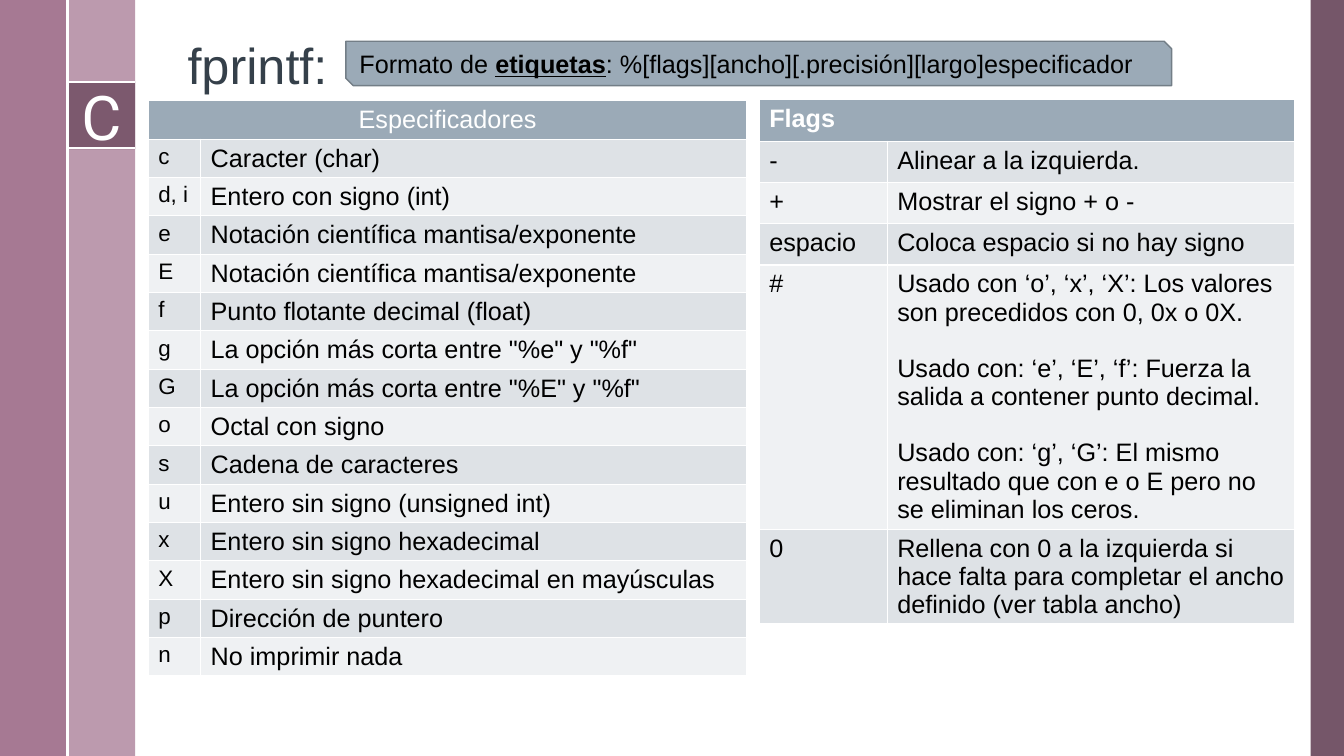
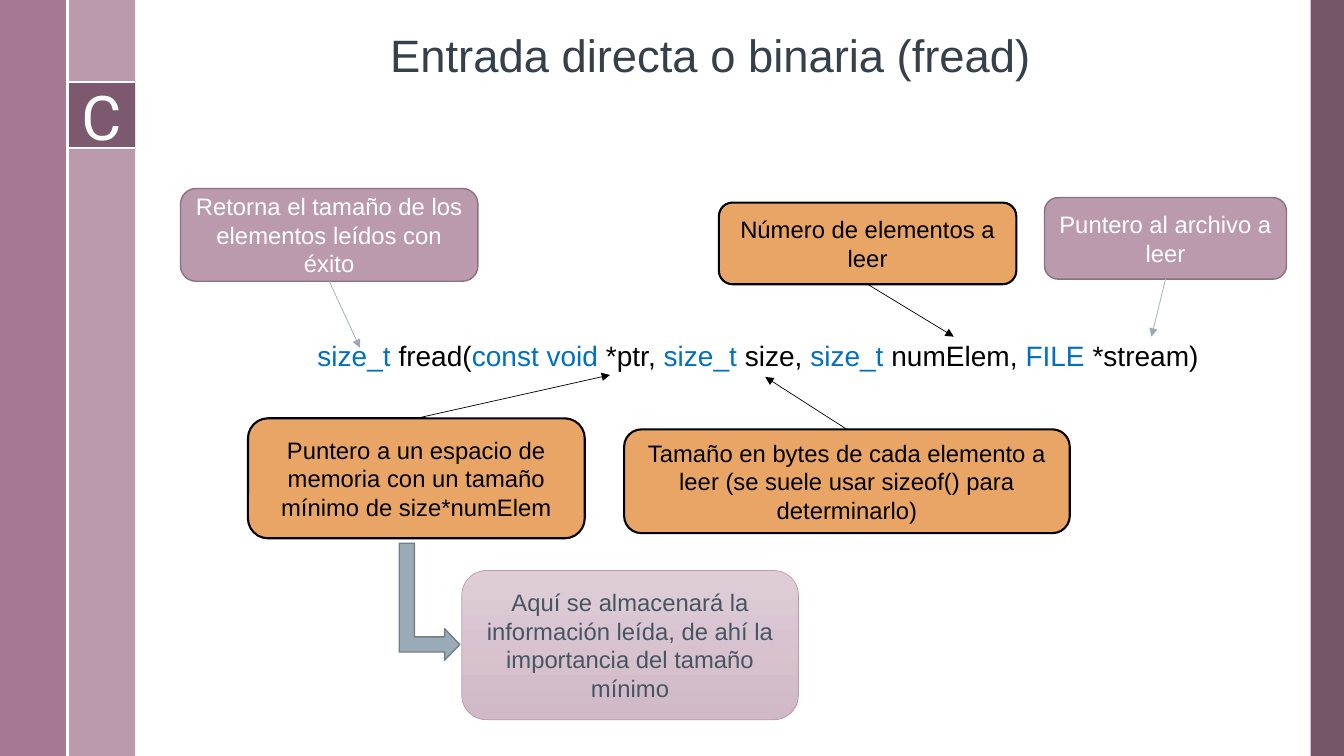
import dataclasses
from typing import Optional

import pptx
import pptx.dml.color
import pptx.enum.dml
import pptx.enum.shapes
import pptx.enum.text
import pptx.oxml
import pptx.oxml.ns
import pptx.oxml.xmlchemy
import pptx.util

Inches, Pt = pptx.util.Inches, pptx.util.Pt
RGBColor = pptx.dml.color.RGBColor
SHAPE = pptx.enum.shapes.MSO_SHAPE
ALIGN = pptx.enum.text.PP_ALIGN
ANCHOR = pptx.enum.text.MSO_ANCHOR

# Palette
WHITE = RGBColor(0xFF, 0xFF, 0xFF)
BLACK = RGBColor(0x00, 0x00, 0x00)
PLUM = RGBColor(0x67, 0x44, 0x59)
MAUVE = RGBColor(0x9A, 0x67, 0x85)
PINK = RGBColor(0xBC, 0x9A, 0xAE)
PINK_EDGE = RGBColor(0x8B, 0x72, 0x81)
PINK_TOP = RGBColor(0xDE, 0xCD, 0xD7)
PINK_BOTTOM = RGBColor(0xD1, 0xB9, 0xC7)
ORANGE = RGBColor(0xE8, 0xA5, 0x65)
STEEL = RGBColor(0x9B, 0xAA, 0xB7)
STEEL_EDGE = RGBColor(0x73, 0x7E, 0x87)
ROW_DARK = RGBColor(0xDE, 0xE2, 0xE6)
ROW_LIGHT = RGBColor(0xEF, 0xF1, 0xF3)
TITLE_INK = RGBColor(0x35, 0x40, 0x4A)
NOTE_INK = RGBColor(0x46, 0x55, 0x62)
KEYWORD_BLUE = RGBColor(0x00, 0x70, 0xC0)

SLIDE_WIDTH, SLIDE_HEIGHT = 13.33, 7.5
BAND = 0.67
BADGE_TOP, BADGE_BOTTOM = 0.81, 1.47


@dataclasses.dataclass(frozen=True)
class Box:
    left: float
    top: float
    width: float
    height: float

    def lengths(self) -> tuple:
        return tuple(Inches(v) for v in dataclasses.astuple(self))


@dataclasses.dataclass(frozen=True)
class Look:
    fill: RGBColor
    ink: RGBColor
    edge: RGBColor
    edge_width: float
    arrow: RGBColor


@dataclasses.dataclass(frozen=True)
class Callout:
    text: str
    box: Box
    look: Look
    side: int
    target: tuple


PINK_LOOK = Look(PINK, WHITE, PINK_EDGE, 1, STEEL)
ORANGE_LOOK = Look(ORANGE, BLACK, BLACK, 1.5, BLACK)

SPECIFIERS = [
    ("c", "Caracter (char)"),
    ("d, i", "Entero con signo (int)"),
    ("e", "Notación científica mantisa/exponente"),
    ("E", "Notación científica mantisa/exponente"),
    ("f", "Punto flotante decimal (float)"),
    ("g", "La opción más corta entre \"%e\" y \"%f\""),
    ("G", "La opción más corta entre \"%E\" y \"%f\""),
    ("o", "Octal con signo"),
    ("s", "Cadena de caracteres"),
    ("u", "Entero sin signo (unsigned int)"),
    ("x", "Entero sin signo hexadecimal"),
    ("X", "Entero sin signo hexadecimal en mayúsculas"),
    ("p", "Dirección de puntero"),
    ("n", "No imprimir nada"),
]

FLAGS = [
    ("-", "Alinear a la izquierda."),
    ("+", "Mostrar el signo + o -"),
    ("espacio", "Coloca espacio si no hay signo"),
    ("#", "Usado con ‘o’, ‘x’, ‘X’: Los valores son precedidos con 0, 0x o 0X.\n"
          "Usado con: ‘e’, ‘E’, ‘f’: Fuerza la salida a contener punto decimal.\n"
          "Usado con: ‘g’, ‘G’: El mismo resultado que con e o E pero no se "
          "eliminan los ceros."),
    ("0", "Rellena con 0 a la izquierda si hace falta para completar el ancho "
          "definido (ver tabla ancho)"),
]

# Type names alternate with the rest of the signature
SIGNATURE = ["size_t ", "fread(", "const void ", "*ptr, ", "size_t ", "size, ",
             "size_t ", "numElem, ", "FILE ", "*stream)"]

CALLOUTS = [
    Callout("Retorna el tamaño de los elementos leídos con éxito",
            Box(1.79, 1.87, 2.95, 0.92), PINK_LOOK, 2, (3.57, 3.45)),
    Callout("Puntero a un espacio de memoria con un tamaño mínimo de size*numElem",
            Box(2.46, 4.15, 3.34, 1.19), ORANGE_LOOK, 0, (6.05, 3.72)),
    Callout("Tamaño en bytes de cada elemento a leer (se suele usar sizeof() para "
            "determinarlo)",
            Box(6.19, 4.26, 4.42, 1.03), ORANGE_LOOK, 0, (7.59, 3.74)),
    Callout("Número de elementos a leer",
            Box(7.13, 2.01, 2.95, 0.81), ORANGE_LOOK, 2, (9.46, 3.34)),
    Callout("Puntero al archivo a leer",
            Box(10.36, 1.96, 2.4, 0.81), PINK_LOOK, 2, (11.42, 3.34)),
]


def write(frame, text: str, *, size: float = 18, color: RGBColor = BLACK,
          font: str = "Arial", bold: bool = False, underline: bool = False,
          align=ALIGN.LEFT, spacing: Optional[float] = None, gap: float = 0) -> None:
    """Append text to the last paragraph; each newline starts a paragraph after a gap."""
    for index, line in enumerate(text.split("\n")):
        paragraph = frame.add_paragraph() if index else frame.paragraphs[-1]
        if index:
            paragraph.space_before = Pt(gap)
        paragraph.alignment = align
        if spacing:
            paragraph.line_spacing = spacing
        run = paragraph.add_run()
        run.text = line
        run.font.size = Pt(size)
        run.font.name = font
        run.font.bold = bold
        run.font.underline = underline
        run.font.color.rgb = color


def add_box(slide, kind, box: Box, fill: RGBColor, *, opacity: int = 100,
            edge: Optional[RGBColor] = None, edge_width: float = 1):
    shape = slide.shapes.add_shape(kind, *box.lengths())
    shape.shadow.inherit = False
    shape.fill.solid()
    shape.fill.fore_color.rgb = fill
    if opacity < 100:
        color = shape.fill._xPr.find(".//" + pptx.oxml.ns.qn("a:srgbClr"))
        color.append(pptx.oxml.parse_xml(
            f'<a:alpha {pptx.oxml.ns.nsdecls("a")} val="{opacity * 1000}"/>'))
    if edge is None:
        shape.line.fill.background()
    else:
        shape.line.color.rgb = edge
        shape.line.width = Pt(edge_width)
    shape.text_frame.word_wrap = True
    shape.text_frame.vertical_anchor = ANCHOR.MIDDLE
    return shape


def add_line(slide, start: tuple, end: tuple, color: RGBColor, width: float,
             arrow: bool = False):
    line = slide.shapes.add_connector(
        pptx.enum.shapes.MSO_CONNECTOR.STRAIGHT,
        *(Inches(v) for v in (*start, *end)))
    line.line.color.rgb = color
    line.line.width = Pt(width)
    namespace = pptx.oxml.ns.nsdecls("a")
    if arrow:
        line.line._get_or_add_ln().append(
            pptx.oxml.parse_xml(f'<a:tailEnd {namespace} type="triangle"/>'))
    line._element.spPr.append(pptx.oxml.parse_xml(f"<a:effectLst {namespace}/>"))
    return line


def add_base_slide(deck, title: str, title_box: Box, title_size: float):
    """Title-only slide with the side bands and the C badge."""
    slide = deck.slides.add_slide(deck.slide_layouts[5])
    bands = [
        (Box(13, 0, SLIDE_WIDTH - 13, SLIDE_HEIGHT), PLUM, 90),
        (Box(BAND, 0, BAND, SLIDE_HEIGHT), PINK, 100),
        (Box(0, 0, BAND, SLIDE_HEIGHT), MAUVE, 88),
    ]
    for box, color, opacity in bands:
        add_box(slide, SHAPE.RECTANGLE, box, color, opacity=opacity)
    badge = add_box(slide, SHAPE.RECTANGLE, Box(BAND, BADGE_TOP, BAND, BAND), PLUM,
                    opacity=75)
    write(badge.text_frame, "C", size=44, color=WHITE, font="Roboto",
          align=ALIGN.CENTER)
    for y in (BADGE_TOP, BADGE_BOTTOM):
        add_line(slide, (BAND, y), (2 * BAND, y), WHITE, 1.5)
    add_line(slide, (BAND, 0), (BAND, SLIDE_HEIGHT), WHITE, 1.5)

    heading = slide.shapes.title
    heading.left, heading.top, heading.width, heading.height = title_box.lengths()
    frame = heading.text_frame
    frame.word_wrap = True
    frame.auto_size = pptx.enum.text.MSO_AUTO_SIZE.NONE
    frame.vertical_anchor = ANCHOR.BOTTOM
    write(frame, title, size=title_size, color=TITLE_INK, spacing=0.9)
    return slide


def add_reference_table(slide, header: str, rows: list, left: float, top: float,
                        widths: tuple, heights: list, *, key_size: float = 18,
                        header_bold: bool = False, header_align=ALIGN.LEFT) -> None:
    """Two-column table under one merged header, with alternating row fills."""
    box = Box(left, top, sum(widths), sum(heights))
    table = slide.shapes.add_table(len(rows) + 1, 2, *box.lengths()).table
    for column, width in zip(table.columns, widths):
        column.width = Inches(width)
    for row, height in zip(table.rows, heights):
        row.height = Inches(height)

    head = table.cell(0, 0)
    head.merge(table.cell(0, 1))
    head.fill.solid()
    head.fill.fore_color.rgb = STEEL
    write(head.text_frame, header, color=WHITE, bold=header_bold, align=header_align)

    for r, entry in enumerate(rows, start=1):
        for c, (text, size) in enumerate(zip(entry, (key_size, 18))):
            cell = table.cell(r, c)
            cell.fill.solid()
            cell.fill.fore_color.rgb = ROW_DARK if r % 2 else ROW_LIGHT
            write(cell.text_frame, text, size=size, gap=20)


def build_fprintf(deck) -> None:
    slide = add_base_slide(deck, "fprintf:", Box(1.76, 0.2, 1.86, 0.8), 36)

    # Format banner
    banner = add_box(slide, SHAPE.SNIP_2_DIAG_RECTANGLE, Box(3.43, 0.41, 8.19, 0.44),
                     STEEL, edge=STEEL_EDGE)
    write(banner.text_frame, "Formato de ")
    write(banner.text_frame, "etiquetas", bold=True, underline=True)
    write(banner.text_frame, ": %[flags][ancho][.precisión][largo]especificador")

    # Reference tables
    add_reference_table(slide, "Especificadores", SPECIFIERS, 1.47, 1, (0.52, 5.42),
                        [0.38] * (len(SPECIFIERS) + 1), key_size=16,
                        header_align=ALIGN.CENTER)
    add_reference_table(slide, "Flags", FLAGS, 7.53, 0.99, (1.27, 4.04),
                        [0.41] * 4 + [2.62, 0.94], header_bold=True)


def build_fread(deck) -> None:
    slide = add_base_slide(deck, "Entrada directa o binaria (fread)",
                           Box(3.77, 0.07, 6.75, 0.8), 32.4)

    # Function signature
    signature = slide.shapes.add_textbox(*Box(3.05, 3.31, 9.08, 0.44).lengths())
    signature.text_frame.word_wrap = True
    for index, part in enumerate(SIGNATURE):
        write(signature.text_frame, part, size=20,
              color=BLACK if index % 2 else KEYWORD_BLUE)

    # Callouts pointing at the arguments
    for callout in CALLOUTS:
        box, look = callout.box, callout.look
        label = add_box(slide, SHAPE.ROUNDED_RECTANGLE, box, look.fill,
                        edge=look.edge, edge_width=look.edge_width)
        write(label.text_frame, callout.text, size=17, color=look.ink,
              align=ALIGN.CENTER)
        start = (box.left + box.width / 2,
                 box.top + (box.height if callout.side == 2 else 0))
        pointer = add_line(slide, start, callout.target, look.arrow, 0.5, arrow=True)
        pointer.begin_connect(label, callout.side)

    # Storage note with its bent arrow
    bend = add_box(slide, SHAPE.BENT_UP_ARROW, Box(3.68, 5.67, 1.16, 0.6), STEEL,
                   edge=STEEL_EDGE)
    bend.rotation = 90
    bend.adjustments[1] = 0.26
    note = add_box(slide, SHAPE.ROUNDED_RECTANGLE, Box(4.58, 5.66, 3.34, 1.48),
                   PINK_TOP, edge=PINK, edge_width=0.5)
    note.fill.gradient()
    note.fill.gradient_angle = 270
    for stop, color in zip(note.fill.gradient_stops, (PINK_TOP, PINK_BOTTOM)):
        stop.color.rgb = color
    write(note.text_frame, "Aquí se almacenará la información leída, de ahí la "
          "importancia del tamaño mínimo", size=17, color=NOTE_INK, align=ALIGN.CENTER)


def main() -> None:
    deck = pptx.Presentation()
    deck.slide_width, deck.slide_height = Inches(SLIDE_WIDTH), Inches(SLIDE_HEIGHT)
    build_fprintf(deck)
    build_fread(deck)
    deck.save("out.pptx")


if __name__ == "__main__":
    main()
